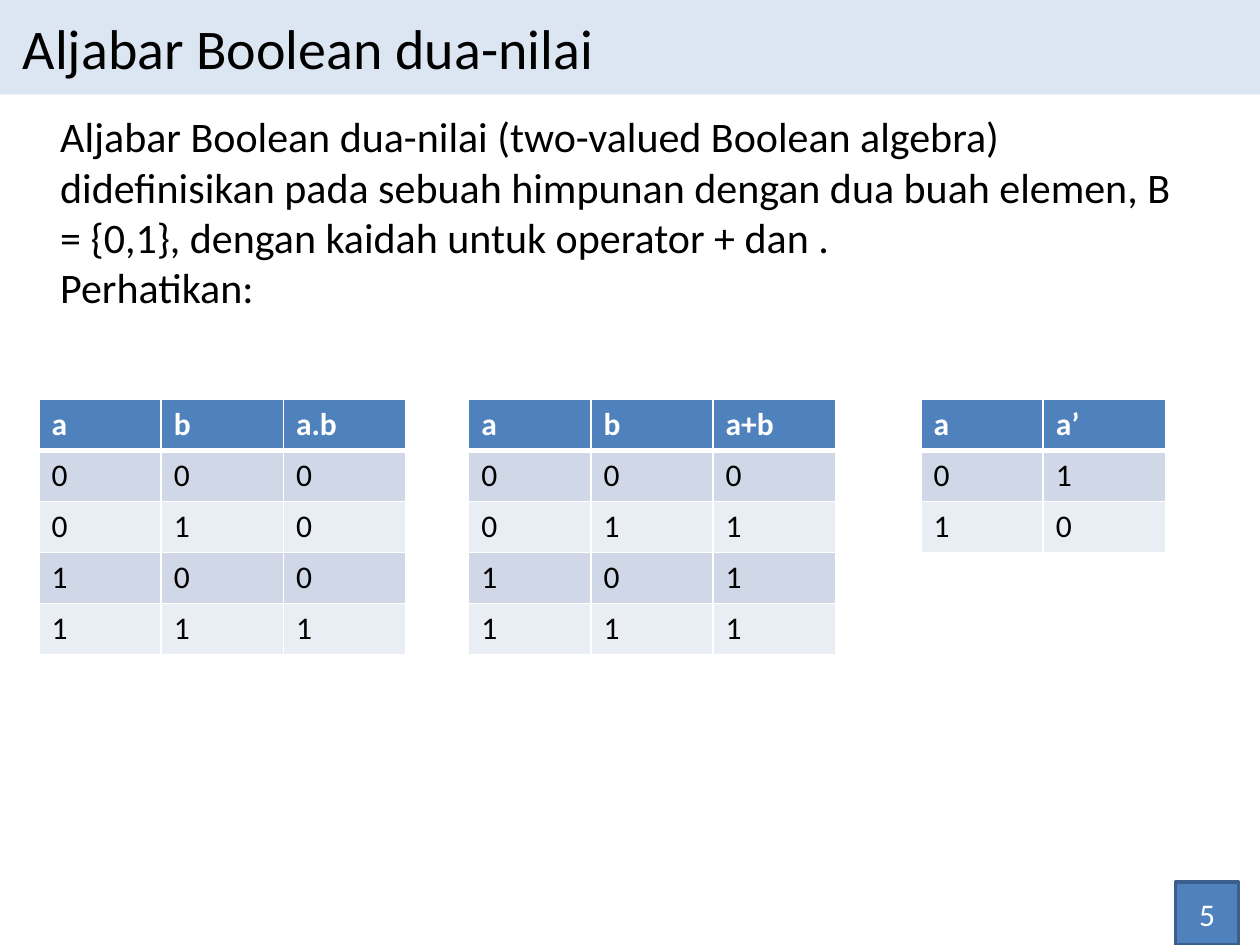
"""Build the slide on two-valued Boolean algebra with its truth tables."""
from lxml.etree import SubElement
from pptx import Presentation
from pptx.dml.color import RGBColor
from pptx.enum.shapes import MSO_SHAPE
from pptx.enum.text import MSO_ANCHOR, MSO_AUTO_SIZE, PP_ALIGN
from pptx.oxml.ns import qn
from pptx.util import Inches, Pt

TITLE = "Aljabar Boolean dua-nilai"
BODY = [
    "Aljabar Boolean dua-nilai (two-valued Boolean algebra) didefinisikan pada "
    "sebuah himpunan dengan dua buah elemen, B = {0,1}, dengan kaidah untuk "
    "operator + dan .",
    "Perhatikan:",
]
PAGE = "5"
TABLES = [
    (0.31, ["a", "b", "a.b"], ["000", "010", "100", "111"]),
    (3.72, ["a", "b", "a+b"], ["000", "011", "101", "111"]),
    (7.31, ["a", "a’"], ["01", "10"]),
]
THEME = dict(
    font="Calibri", title=32, body=24, small=18,
    ink="000000", white="FFFFFF", band="DCE6F2",
    blue="4F81BD", edge="3A5F8C", rows=("E9EDF4", "D0D8E8"),
)
WIDE, HIGH = 10, 7.5
TOP, COL, ROW = 3.17, 0.97, 0.405


def color(name):
    return RGBColor.from_string(name)


def paint(item, name):
    item.fill.solid()
    item.fill.fore_color.rgb = color(name)


def style(frame, size, ink, bold=False, align=PP_ALIGN.LEFT):
    for para in frame.paragraphs:
        para.alignment = align
        for run in para.runs:
            run.font.name = THEME["font"]
            run.font.size = Pt(size)
            run.font.bold = bold
            run.font.color.rgb = color(ink)


def box(slide, left, top, width, height, fill):
    shape = slide.shapes.add_shape(
        MSO_SHAPE.RECTANGLE, *map(Inches, (left, top, width, height)))
    shape.shadow.inherit = False
    paint(shape, fill)
    shape.line.fill.background()
    return shape


def border(cell, widths):
    props = cell._tc.get_or_add_tcPr()
    for side, width in zip("LRTB", widths):
        line = SubElement(props, qn(f"a:ln{side}"), w=str(Pt(width)))
        fill = SubElement(line, qn("a:solidFill"))
        SubElement(fill, qn("a:srgbClr"), val=THEME["white"])


def truth(slide, left, head, body):
    data = [head, *body]
    size = (COL * len(head), ROW * len(data))
    grid = slide.shapes.add_table(
        len(data), len(head), *map(Inches, (left, TOP, *size))).table
    for col in grid.columns:
        col.width = Inches(COL)
    for r, values in enumerate(data):
        grid.rows[r].height = Inches(ROW)
        for c, value in enumerate(values):
            cell = grid.cell(r, c)
            cell.text = value
            border(cell, (1, 1, 3 if r == 1 else 1, 3 if r == 0 else 1))
            paint(cell, THEME["rows"][r % 2] if r else THEME["blue"])
            style(cell.text_frame, THEME["small"],
                  THEME["ink"] if r else THEME["white"], bold=r == 0)


def main():
    deck = Presentation()
    deck.slide_width, deck.slide_height = Inches(WIDE), Inches(HIGH)
    slide = deck.slides.add_slide(deck.slide_layouts[5])

    band = box(slide, 0, 0, WIDE, HIGH / 10, THEME["band"])
    title = slide.shapes.title
    title._element.addprevious(band._element)
    title.left, title.top, title.width, title.height = map(
        Inches, (0.08, 0.06, 4.78, 0.64))
    frame = title.text_frame
    frame.text = TITLE
    frame.word_wrap = False
    frame.auto_size = MSO_AUTO_SIZE.SHAPE_TO_FIT_TEXT
    frame.vertical_anchor = MSO_ANCHOR.TOP
    style(frame, THEME["title"], THEME["ink"])

    note = slide.shapes.add_textbox(*map(Inches, (0.38, 0.83, 9.04, 1.72)))
    frame = note.text_frame
    frame.word_wrap = True
    frame.auto_size = MSO_AUTO_SIZE.SHAPE_TO_FIT_TEXT
    frame.text = "\n".join(BODY)
    style(frame, THEME["body"], THEME["ink"])

    badge = box(slide, 9.33, HIGH - 0.5, 0.5, 0.5, THEME["blue"])
    badge.line.color.rgb = color(THEME["edge"])
    badge.line.width = Pt(2)
    frame = badge.text_frame
    frame.text = PAGE
    frame.vertical_anchor = MSO_ANCHOR.MIDDLE
    style(frame, THEME["small"], THEME["white"], align=PP_ALIGN.CENTER)

    for left, head, body in TABLES:
        truth(slide, left, head, body)
    deck.save("out.pptx")


main()
